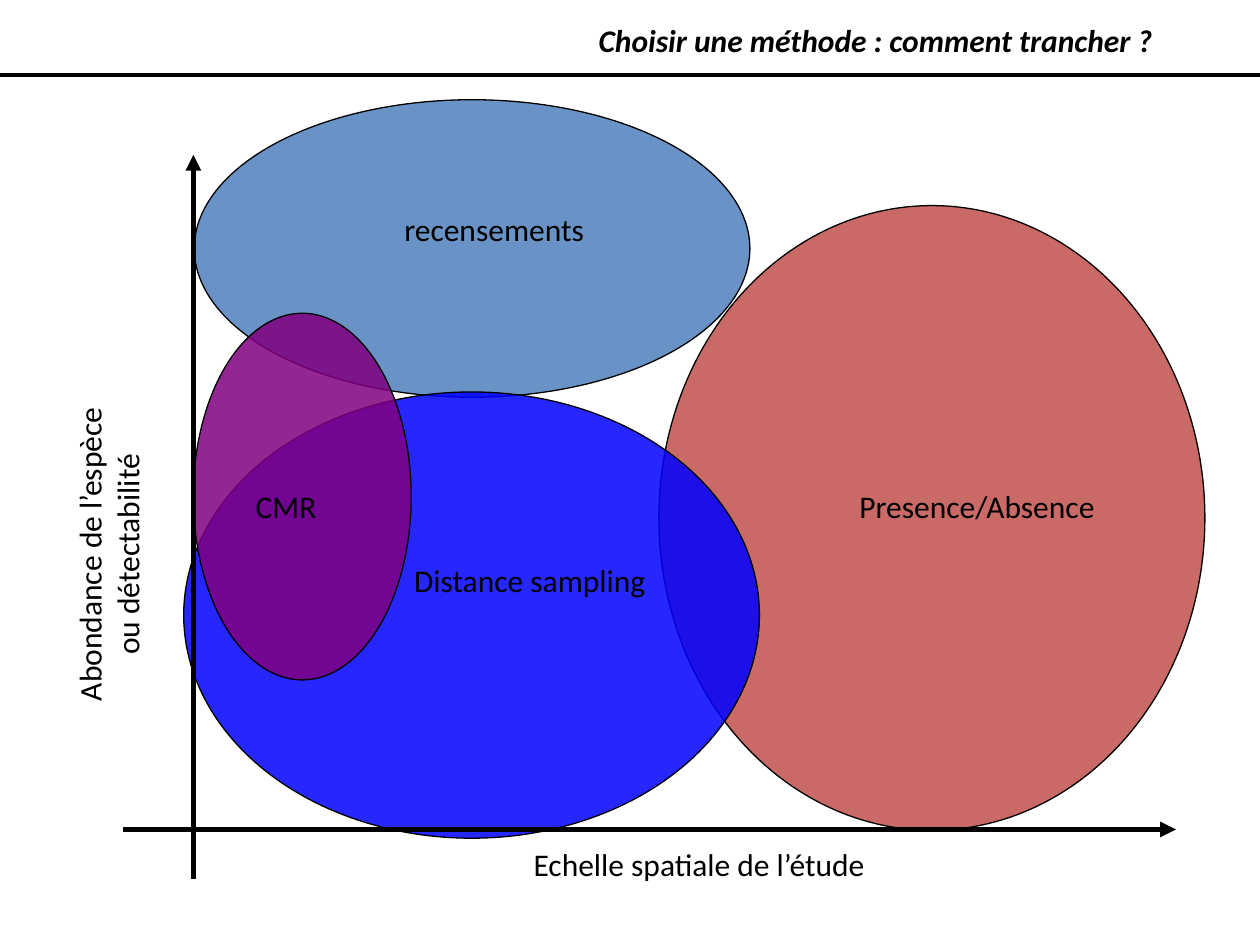
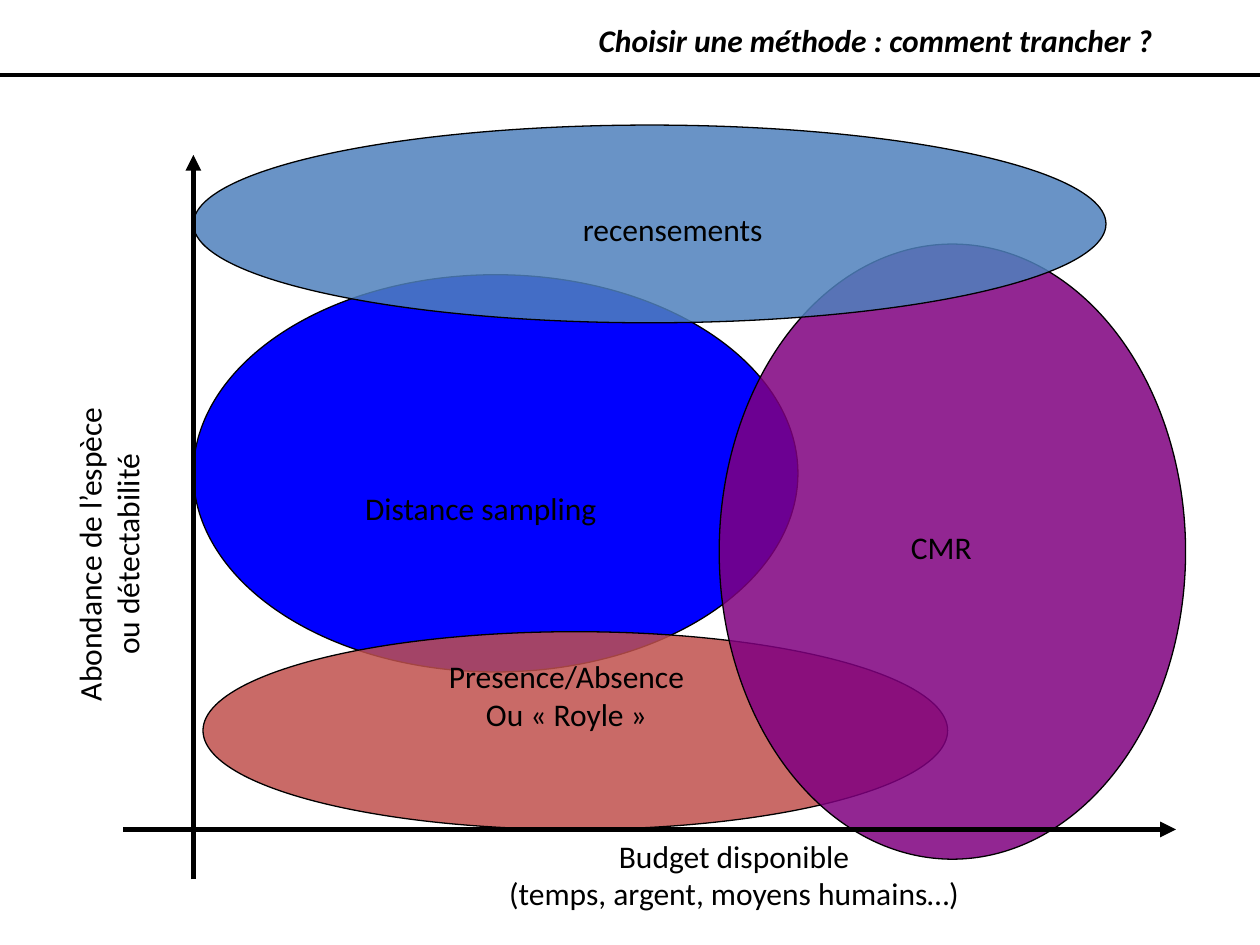
from dataclasses import dataclass

from lxml.etree import SubElement
from pptx import Presentation
from pptx.dml.color import RGBColor
from pptx.enum.shapes import MSO_CONNECTOR, MSO_SHAPE
from pptx.enum.text import MSO_AUTO_SIZE as AutoSize, PP_ALIGN as Align
from pptx.oxml.ns import qn
from pptx.slide import Slide
from pptx.util import Pt

BLACK = RGBColor(0x00, 0x00, 0x00)
STEEL = RGBColor(0x4F, 0x81, 0xBD)
BRICK = RGBColor(0xC0, 0x50, 0x4D)
BLUE = RGBColor(0x00, 0x00, 0xFF)
PURPLE = RGBColor(0x80, 0x00, 0x80)

FONT = "Calibri"
TEXT_SIZE = 18
ONE_LINE, TWO_LINES = 29, 50.5
PAGE_WIDTH, PAGE_HEIGHT = 720, 540


@dataclass(frozen=True)
class Zone:
    """Ellipse showing where a method applies."""

    color: RGBColor
    left: float
    top: float
    width: float
    height: float
    opacity: int = 85


@dataclass(frozen=True)
class Label:
    """Text box with one paragraph per line."""

    lines: tuple[str, ...]
    left: float
    top: float
    width: float
    centered: bool = False
    rotation: int = 0
    emphasis: bool = False


@dataclass(frozen=True)
class Rule:
    """Straight line, with or without an arrowhead at its end."""

    start: tuple[float, float]
    end: tuple[float, float]
    weight: float = 3
    arrow: bool = True


@dataclass(frozen=True)
class Diagram:
    """Zones, from back to front, and labels of one slide."""

    zones: tuple[Zone, ...]
    labels: tuple[Label, ...]


SHARED_RULES = (
    Rule((0, 43), (PAGE_WIDTH, 43), weight=2.25, arrow=False),
    Rule((110.5, 502.5), (110.5, 88.5)),
    Rule((70.5, 474), (672, 474)),
)
SHARED_LABELS = (
    Label(("Choisir une méthode : comment trancher ?",), 335, 8.5, 382.5, emphasis=True),
    Label(("Abondance de l’espèce", "ou détectabilité"), -39, 291.5, 201.5, True, 270),
)

DIAGRAMS = (
    Diagram(
        zones=(
            Zone(STEEL, 111, 57, 317.5, 170),
            Zone(BRICK, 376.5, 117.5, 312, 357),
            Zone(BLUE, 105, 224, 329, 255),
            Zone(PURPLE, 110.5, 179, 124.5, 209.5),
        ),
        labels=(
            Label(("Distance sampling",), 229.5, 317, 161.5),
            Label(("Presence/Absence",), 484, 275, 165.5),
            Label(("CMR",), 139, 275, 55.5),
            Label(("recensements",), 224, 116.5, 127.5),
            Label(("Echelle spatiale de l’étude",), 296.5, 479.5, 206, True),
        ),
    ),
    Diagram(
        zones=(
            Zone(BLUE, 110.5, 157, 345.5, 227, opacity=100),
            Zone(BRICK, 116, 361, 425.5, 113),
            Zone(PURPLE, 411, 139.5, 266.5, 351.5),
            Zone(STEEL, 110.5, 71.5, 521.5, 113),
        ),
        labels=(
            Label(("Budget disponible", "(temps, argent, moyens humains…)"), 269.5, 474.5, 300, True),
            Label(("Distance sampling",), 201.5, 276, 161.5),
            Label(("CMR",), 513.5, 298, 55.5),
            Label(("Presence/Absence", "Ou « Royle »"), 241, 372, 165.5, True),
            Label(("recensements",), 326, 116.5, 127.5),
        ),
    ),
)


def draw_zone(page: Slide, zone: Zone) -> None:
    """Draw a thinly outlined, possibly translucent ellipse."""
    ellipse = page.shapes.add_shape(
        MSO_SHAPE.OVAL, Pt(zone.left), Pt(zone.top), Pt(zone.width), Pt(zone.height)
    )
    ellipse.shadow.inherit = False
    ellipse.fill.solid()
    ellipse.fill.fore_color.rgb = zone.color
    ellipse.line.color.rgb = BLACK
    ellipse.line.width = Pt(0.75)
    if zone.opacity < 100:
        color = ellipse.fill._xPr.find(qn("a:solidFill"))[0]
        SubElement(color, qn("a:alpha")).set("val", str(zone.opacity * 1000))


def draw_rule(page: Slide, rule: Rule) -> None:
    """Draw a black line or arrow."""
    connector = page.shapes.add_connector(
        MSO_CONNECTOR.STRAIGHT, *map(Pt, rule.start), *map(Pt, rule.end)
    )
    connector.line.color.rgb = BLACK
    connector.line.width = Pt(rule.weight)
    if rule.arrow:
        SubElement(connector.line._get_or_add_ln(), qn("a:tailEnd")).set("type", "triangle")
    SubElement(connector._element.spPr, qn("a:effectLst"))


def draw_label(page: Slide, label: Label) -> None:
    """Draw a text box that fits its lines."""
    height = ONE_LINE if len(label.lines) == 1 else TWO_LINES
    box = page.shapes.add_textbox(Pt(label.left), Pt(label.top), Pt(label.width), Pt(height))
    box.rotation = label.rotation
    frame = box.text_frame
    frame.word_wrap = False
    frame.auto_size = AutoSize.SHAPE_TO_FIT_TEXT
    for index, line in enumerate(label.lines):
        para = frame.add_paragraph() if index else frame.paragraphs[0]
        para.alignment = Align.CENTER if label.centered else Align.LEFT
        span = para.add_run()
        span.text = line
        span.font.name = FONT
        span.font.size = Pt(TEXT_SIZE)
        span.font.color.rgb = BLACK
        span.font.bold = span.font.italic = label.emphasis


def draw_diagram(page: Slide, diagram: Diagram) -> None:
    """Draw the zones, then the axes and the text over them."""
    for zone in diagram.zones:
        draw_zone(page, zone)
    for rule in SHARED_RULES:
        draw_rule(page, rule)
    for label in SHARED_LABELS + diagram.labels:
        draw_label(page, label)


def main() -> None:
    """Build and save the deck."""
    deck = Presentation()
    deck.slide_width, deck.slide_height = Pt(PAGE_WIDTH), Pt(PAGE_HEIGHT)
    blank = deck.slide_layouts[6]
    for diagram in DIAGRAMS:
        draw_diagram(deck.slides.add_slide(blank), diagram)
    deck.save("out.pptx")


if __name__ == "__main__":
    main()
